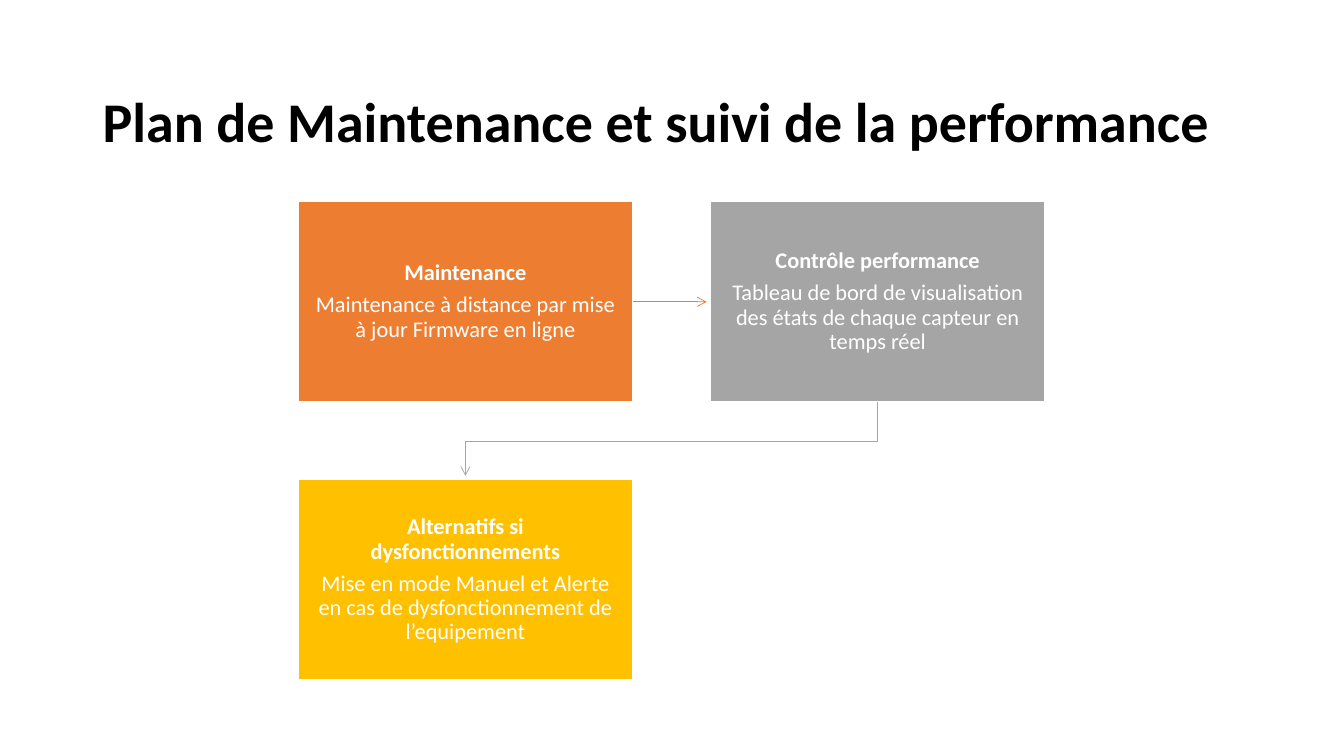
"""Build the maintenance and performance plan slide."""
from dataclasses import dataclass

import pptx
import pptx.dml.color
import pptx.enum.shapes
import pptx.enum.text
import pptx.oxml
import pptx.oxml.ns
import pptx.util
from pptx.util import Cm, Pt

RGBColor = pptx.dml.color.RGBColor
PP_ALIGN = pptx.enum.text.PP_ALIGN
MSO_ANCHOR = pptx.enum.text.MSO_ANCHOR

BLACK = RGBColor(0x00, 0x00, 0x00)
WHITE = RGBColor(0xFF, 0xFF, 0xFF)
ORANGE = RGBColor(0xED, 0x7D, 0x31)
GREY = RGBColor(0xA5, 0xA5, 0xA5)
GOLD = RGBColor(0xFF, 0xC0, 0x00)

FONT = "Calibri"
LEFT, TOP = Cm(7.52), Cm(5.08)
BOX_W, BOX_H = Cm(8.42), Cm(5.05)
PITCH_X, PITCH_Y = Cm(10.39), Cm(7.01)
ARROW_GAP = Cm(0.1)


@dataclass
class Step:
    col: int
    row: int
    color: RGBColor
    heading: str
    detail: str


STEPS = [
    Step(0, 0, ORANGE, "Maintenance",
         "Maintenance à distance par mise à jour Firmware en ligne"),
    Step(1, 0, GREY, "Contrôle performance",
         "Tableau de bord de visualisation des états de chaque capteur en temps réel"),
    Step(0, 1, GOLD, "Alternatifs si dysfonctionnements",
         "Mise en mode Manuel et Alerte en cas de dysfonctionnement de l’equipement"),
]


def add_text(p, text: str, size: int, color: RGBColor, bold: bool, after: float) -> None:
    """Add one formatted run to a paragraph."""
    p.line_spacing = 0.9
    p.space_after = Pt(after)
    r = p.add_run()
    r.text = text
    r.font.name = FONT
    r.font.size = Pt(size)
    r.font.bold = bold
    r.font.color.rgb = color


def add_title(s, text: str) -> None:
    """Add the slide title."""
    tf = s.shapes.add_textbox(Cm(2.34), Cm(1.55), Cm(29.21), Cm(3.15)).text_frame
    tf.word_wrap = True
    tf.vertical_anchor = MSO_ANCHOR.MIDDLE
    add_text(tf.paragraphs[0], text, 40, BLACK, True, 6)


def add_step(s, step: Step):
    """Draw one step box with its heading and detail."""
    sp = s.shapes.add_shape(
        pptx.enum.shapes.MSO_SHAPE.RECTANGLE,
        LEFT + step.col * PITCH_X, TOP + step.row * PITCH_Y, BOX_W, BOX_H)
    sp.shadow.inherit = False
    sp.fill.solid()
    sp.fill.fore_color.rgb = step.color
    sp.line.color.rgb = WHITE
    sp.line.width = Pt(1)
    tf = sp.text_frame
    tf.word_wrap = True
    tf.vertical_anchor = MSO_ANCHOR.MIDDLE
    tf.margin_left = tf.margin_right = Cm(0.41)
    tf.margin_top = tf.margin_bottom = Cm(0.43)
    for p, text, bold in ((tf.paragraphs[0], step.heading, True),
                          (tf.add_paragraph(), step.detail, False)):
        p.alignment = PP_ALIGN.CENTER
        add_text(p, text, 16, WHITE, bold, 5.6)
    return sp


def style_arrow(sp, color: RGBColor) -> None:
    """Give a line its colour, width and open arrowhead."""
    sp.line.color.rgb = color
    sp.line.width = Pt(0.5)
    tail = pptx.oxml.parse_xml(
        f'<a:tailEnd {pptx.oxml.ns.nsdecls("a")} type="arrow"/>')
    sp.line._get_or_add_ln().append(tail)


def add_straight_arrow(s, start, end) -> None:
    """Draw an arrow rightwards from one box to the next."""
    y = start.top + start.height // 2
    cx = s.shapes.add_connector(
        pptx.enum.shapes.MSO_CONNECTOR.STRAIGHT,
        start.left + start.width, y, end.left - ARROW_GAP, y)
    cx.begin_connect(start, 3)
    style_arrow(cx, ORANGE)
    cx._element.spPr.append(
        pptx.oxml.parse_xml(f'<a:effectLst {pptx.oxml.ns.nsdecls("a")}/>'))


def add_elbow_arrow(s, start, end) -> None:
    """Draw a bent arrow from a box's bottom to the top of a lower box."""
    x1, x2 = (sp.left + sp.width // 2 for sp in (start, end))
    y1 = start.top + start.height
    mid = (y1 + end.top) // 2
    fb = s.shapes.build_freeform(x1, y1)
    fb.add_line_segments([(x1, mid), (x2, mid), (x2, end.top - ARROW_GAP)], close=False)
    sp = fb.convert_to_shape()
    sp.shadow.inherit = False
    sp.fill.background()
    style_arrow(sp, GREY)


def main() -> None:
    """Create the slide and save it."""
    prs = pptx.Presentation()
    prs.slide_width, prs.slide_height = Cm(33.87), Cm(19.05)
    s = prs.slides.add_slide(prs.slide_layouts[6])
    add_title(s, "Plan de Maintenance et suivi de la performance")
    maintenance, control, fallback = [add_step(s, step) for step in STEPS]
    add_straight_arrow(s, maintenance, control)
    add_elbow_arrow(s, control, fallback)
    prs.save("out.pptx")


if __name__ == "__main__":
    main()
